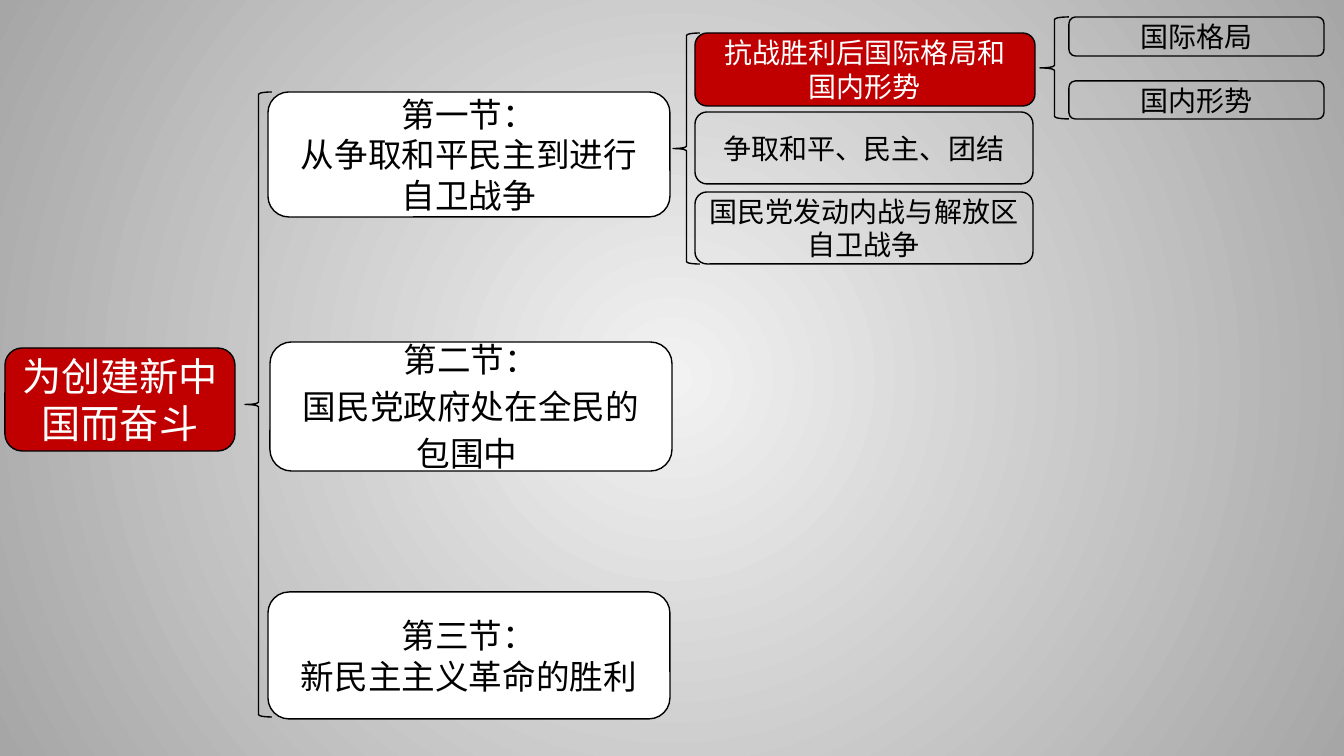
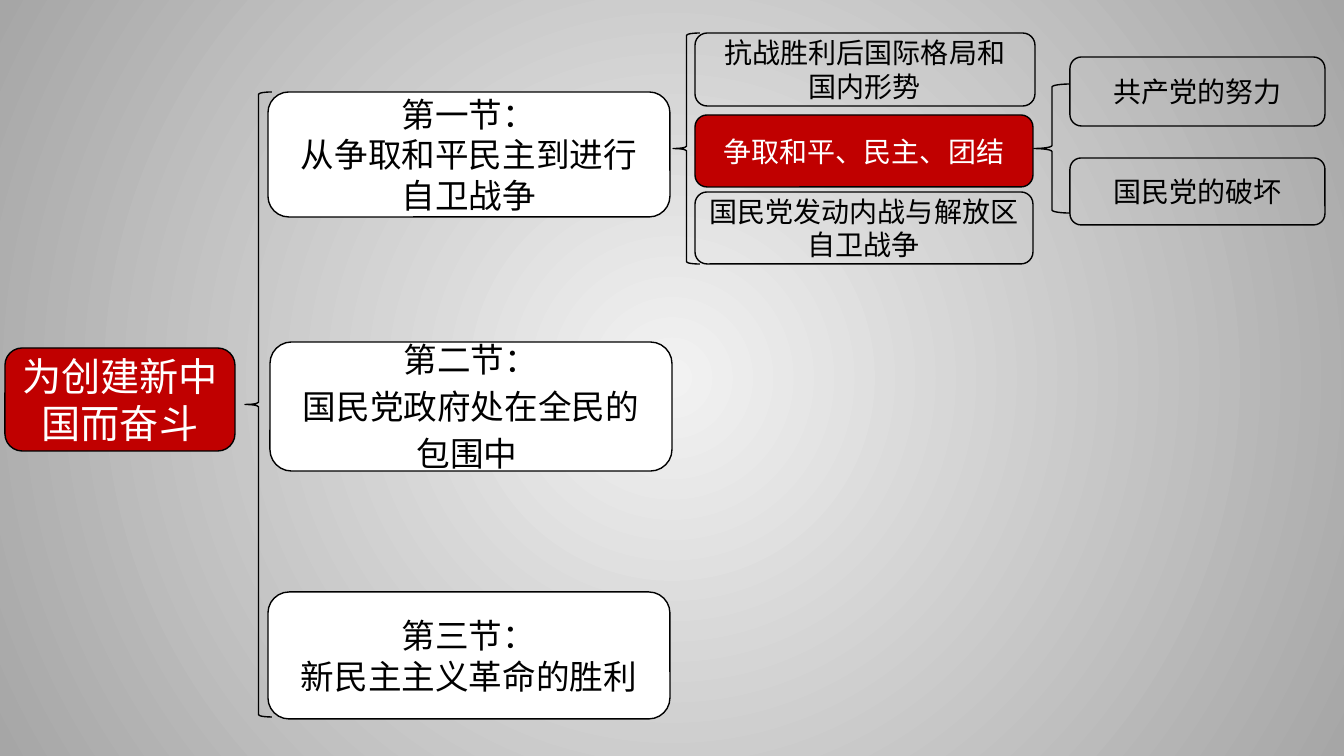
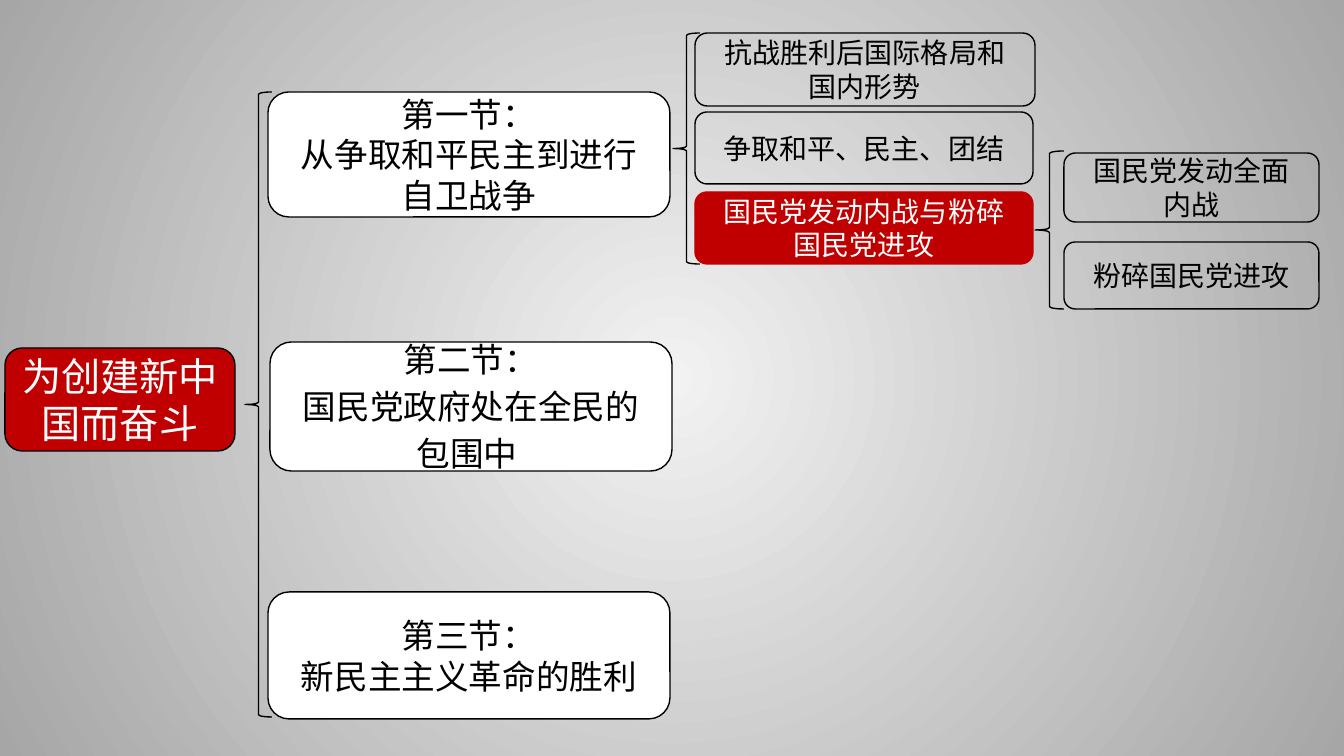
from dataclasses import dataclass

from pptx import Presentation
from pptx.dml.color import RGBColor
from pptx.enum.shapes import MSO_SHAPE
from pptx.enum.text import MSO_ANCHOR, PP_ALIGN
from pptx.oxml import parse_xml
from pptx.oxml.ns import nsdecls, qn
from pptx.util import Emu, Pt


@dataclass(frozen=True)
class Theme:
    font: str = "Noto Sans CJK SC"
    red: str = "C00000"
    black: str = "000000"
    white: str = "FFFFFF"
    bg_centre: str = "F2F2F2"
    bg_edge: str = "A6A6A6"
    root_size: int = 28
    chapter_size: int = 24
    topic_size: int = 20
    line_width: int = 1


THEME = Theme()

CHAPTERS = [
    # offset from the brace, size, lines, space before the later lines
    (23, 0, 402, 125, "第一节：\n从争取和平民主到进行\n自卫战争", 0),
    (25, 250, 402, 129, "第二节：\n国民党政府处在全民的\n包围中 ", 4.8),
    (23, 500, 402, 127, "第三节：\n新民主主义革命的胜利", 0),
]

TOPICS = [
    "抗战胜利后国际格局和\n国内形势",
    "争取和平、民主、团结",
    "国民党发动内战与解放区自卫战争",
]


@dataclass(frozen=True)
class Step:
    """One slide: the active topic and the branch that opens from it."""
    active: int
    brace: tuple
    points: tuple
    tops: tuple = (0, 79, 159)
    active_text: str = ""
    active_line: str = THEME.black


STEPS = [
    Step(0, (1040, 17, 29, 102),
         ((29, 0, 255, 39, "国际格局"), (29, 64, 255, 38, "国内形势"))),
    Step(1, (1034, 84, 36, 129),
         ((36, -27, 255, 69, "共产党的努力"), (36, 74, 255, 67, "国民党的破坏")),
         tops=(0, 82, 159)),
    Step(2, (1035, 151, 29, 158),
         ((29, 2, 255, 69, "国民党发动全面\n内战"), (29, 91, 255, 67, "粉碎国民党进攻")),
         active_text="国民党发动内战与粉碎\n国民党进攻", active_line=THEME.red),
]


def px(n):
    return Emu(round(n * 914400 / 100.8))


def rgb(value):
    return RGBColor.from_string(value)


def set_background(master):
    """Radial grey gradient shared by every slide."""
    fill = master.background.fill
    fill.gradient()
    for stop, color, pos in zip(fill.gradient_stops, (THEME.bg_centre, THEME.bg_edge), (0, 1)):
        stop.color.rgb = rgb(color)
        stop.position = pos
    grad = master.element.find(".//" + qn("a:gradFill"))
    grad.remove(grad.find(qn("a:lin")))
    grad.append(parse_xml(
        f'<a:path {nsdecls("a")} path="circle">'
        '<a:fillToRect l="50000" t="50000" r="50000" b="50000"/></a:path>'))


def add_outline(slide, kind, x, y, w, h, fill=None, line=THEME.black):
    sp = slide.shapes.add_shape(kind, px(x), px(y), px(w), px(h))
    sp.shadow.inherit = False
    if fill:
        sp.fill.solid()
        sp.fill.fore_color.rgb = rgb(fill)
    else:
        sp.fill.background()
    sp.line.color.rgb = rgb(line)
    sp.line.width = Pt(THEME.line_width)
    return sp


def write_text(sp, text, size, color=THEME.black, gap=0):
    """Centred text, one paragraph a line; gap is the space before later lines."""
    tf = sp.text_frame
    tf.word_wrap = True
    tf.vertical_anchor = MSO_ANCHOR.MIDDLE
    for i, line in enumerate(text.split("\n")):
        p = tf.paragraphs[0] if i == 0 else tf.add_paragraph()
        p.alignment = PP_ALIGN.CENTER
        if i and gap:
            p.space_before = Pt(gap)
        r = p.add_run()
        r.text = line
        r.font.size = Pt(size)
        r.font.name = THEME.font
        r.font.color.rgb = rgb(color)
        r.font._element.append(
            parse_xml(f'<a:ea {nsdecls("a")} typeface="{THEME.font}"/>'))


def add_node(slide, x, y, w, h, text, size, fill=None, line=THEME.black, gap=0):
    sp = add_outline(slide, MSO_SHAPE.ROUNDED_RECTANGLE, x, y, w, h, fill, line)
    color = THEME.white if fill == THEME.red else THEME.black
    write_text(sp, text, size, color=color, gap=gap)


def add_root(slide, x, y, w, h):
    add_node(slide, x, y, w, h, "为创建新中国而奋斗", THEME.root_size, fill=THEME.red)


def add_chapters(slide, x, y, w, h):
    add_outline(slide, MSO_SHAPE.LEFT_BRACE, x, y, w, h)
    for dx, dy, nw, nh, text, gap in CHAPTERS:
        add_node(slide, x + dx, y + dy, nw, nh, text, THEME.chapter_size,
                 fill=THEME.white, gap=gap)


def add_topics(slide, x, y, w, h, step):
    add_outline(slide, MSO_SHAPE.LEFT_BRACE, x, y, w, h)
    for i, (text, dy) in enumerate(zip(TOPICS, step.tops)):
        node_w, node_h = (340, 73) if i == 0 else (338, 72)
        active = i == step.active
        add_node(slide, x + 22, y + dy, node_w, node_h,
                 active and step.active_text or text, THEME.topic_size,
                 fill=THEME.red if active else None,
                 line=step.active_line if active else THEME.black)


def add_points(slide, x, y, w, h, points):
    add_outline(slide, MSO_SHAPE.LEFT_BRACE, x, y, w, h)
    for dx, dy, nw, nh, text in points:
        add_node(slide, x + dx, y + dy, nw, nh, text, THEME.topic_size)


def add_step(prs, step):
    slide = prs.slides.add_slide(prs.slide_layouts[6])
    add_root(slide, 5, 348, 230, 103)
    add_chapters(slide, 245, 92, 27, 625)
    add_topics(slide, 673, 33, 27, 231, step)
    add_points(slide, *step.brace, step.points)


def main():
    prs = Presentation()
    prs.slide_width, prs.slide_height = px(1344), px(756)
    set_background(prs.slide_master)
    for step in STEPS:
        add_step(prs, step)
    prs.save("out.pptx")


if __name__ == "__main__":
    main()
